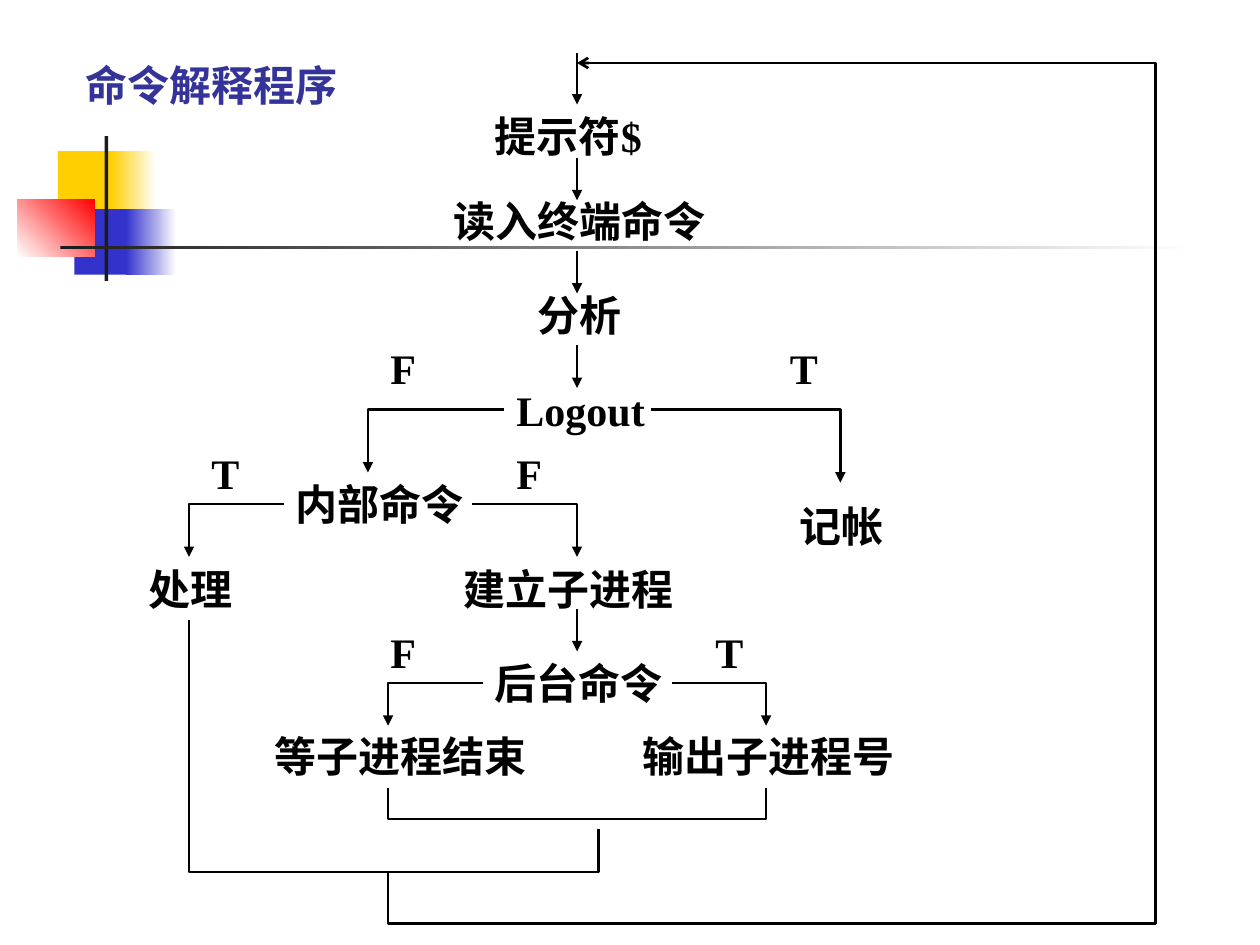
import pptx
import pptx.util
import pptx.dml.color
import pptx.enum.shapes
import pptx.enum.text
import pptx.oxml
import pptx.oxml.ns

Inches = pptx.util.Inches
Pt = pptx.util.Pt
COLORS = {
    name: pptx.dml.color.RGBColor.from_string(value)
    for name, value in {
        "yellow": "FFCF01", "blue": "3333CC", "red": "FF0000", "white": "FFFFFF",
        "dark": "1C1C1C", "title": "333399", "black": "000000",
    }.items()
}

deck = pptx.Presentation()
deck.slide_width, deck.slide_height = Inches(10), Inches(7.5)
page = deck.slides.add_slide(deck.slide_layouts[6])


def add_label(text, left, top, width, color="black"):
    box = page.shapes.add_textbox(Inches(left), Inches(top), Inches(width), Inches(0.5))
    box.text_frame.word_wrap = True
    box.text_frame.auto_size = pptx.enum.text.MSO_AUTO_SIZE.SHAPE_TO_FIT_TEXT
    span = box.text_frame.paragraphs[0].add_run()
    span.text = text
    span.font.name = "Times New Roman"
    span.font.size = Pt(24)
    span.font.bold = True
    span.font.color.rgb = COLORS[color]


def style_line(shape, head):
    """Draw the outline in black, with an arrowhead at its end if one is named."""
    shape.line.color.rgb = COLORS["black"]
    shape.line.width = Pt(1.5)
    if head:
        end = pptx.oxml.parse_xml(f'<a:tailEnd {pptx.oxml.ns.nsdecls("a")} type="{head}"/>')
        shape.line._get_or_add_ln().append(end)


# Corner decoration: left, top, width, height, start colour, end colour, angle
decorations = [
    (0.46, 1.2, 0.48, 0.52, "yellow", None, 0),
    (0.88, 1.2, 0.36, 0.52, "yellow", "white", 0),
    (0.59, 1.66, 0.46, 0.52, "blue", None, 0),
    (1, 1.66, 0.4, 0.52, "blue", "white", 0),
    (0.14, 1.58, 0.61, 0.46, "white", "red", 45),
    (0.83, 1.08, 0.03, 1.15, "dark", None, 0),
    (0.48, 1.95, 9, 0.03, "dark", "white", 0),
]
for left, top, width, height, start, finish, angle in decorations:
    block = page.shapes.add_shape(
        pptx.enum.shapes.MSO_SHAPE.RECTANGLE,
        Inches(left), Inches(top), Inches(width), Inches(height))
    block.shadow.inherit = False
    block.line.fill.background()
    if finish:
        block.fill.gradient()
        block.fill.gradient_angle = angle
        for stop, name in zip(block.fill.gradient_stops, (start, finish)):
            stop.color.rgb = COLORS[name]
    else:
        block.fill.solid()
        block.fill.fore_color.rgb = COLORS[start]

add_label("命令解释程序", 0.58, 0.42, 2.42, "title")

steps = [
    ("提示符$", 3.83, 0.83, 1.58),
    ("读入终端命令", 3.5, 1.5, 2.25),
    ("分析", 4.17, 2.25, 0.92),
    ("Logout", 4, 3, 1.25),
    ("内部命令", 2.25, 3.75, 1.67),
    ("处理", 1.08, 4.42, 0.92),
    ("建立子进程", 3.58, 4.42, 1.92),
    ("后台命令", 3.83, 5.17, 1.67),
    ("等子进程结束", 2.08, 5.75, 2.25),
    ("输出子进程号", 5, 5.75, 2.33),
    ("记帐", 6.25, 3.92, 0.92),
]
for text, left, top, width in steps:
    add_label(text, left, top, width)

branch_labels = [
    ("F", 3, 2.67), ("T", 6.17, 2.67),
    ("T", 1.58, 3.5), ("F", 4, 3.5),
    ("F", 3, 4.92), ("T", 5.58, 4.92),
]
for text, left, top in branch_labels:
    add_label(text, left, top, 0.42)

# Straight arrows down the main column
main_x = 4.58
for top, bottom in [(0.42, 0.83), (1.25, 1.59), (1.99, 2.33), (2.74, 3.08), (4.83, 5.17)]:
    arrow = page.shapes.add_connector(
        pptx.enum.shapes.MSO_CONNECTOR.STRAIGHT,
        Inches(main_x), Inches(top), Inches(main_x), Inches(bottom))
    style_line(arrow, "triangle")
    arrow._element.spPr.append(
        pptx.oxml.parse_xml(f'<a:effectLst {pptx.oxml.ns.nsdecls("a")}/>'))

# Branches leave a decision sideways, then drop: start x, start y, end x, end y
branches = [
    (4, 3.25, 2.92, 3.75), (5.17, 3.25, 6.67, 3.83),
    (2.25, 4, 1.5, 4.42), (3.75, 4, main_x, 4.42),
    (3.83, 5.42, 3.08, 5.76), (5.33, 5.42, 6.08, 5.76),
]
routes = [([(x1, y1), (x2, y1), (x2, y2)], "triangle") for x1, y1, x2, y2 in branches]
routes += [
    ([(3.08, 6.25), (3.08, 6.5), (6.08, 6.5), (6.08, 6.25)], None),
    ([(1.5, 4.92), (1.5, 6.92), (4.75, 6.92), (4.75, 6.58)], None),
    ([(3.08, 6.92), (3.08, 7.33), (9.17, 7.33), (9.17, 0.5), (main_x, 0.5)], "arrow"),
]
for points, head in routes:
    corners = [(Inches(x), Inches(y)) for x, y in points]
    builder = page.shapes.build_freeform(*corners[0])
    builder.add_line_segments(corners[1:], close=False)
    route = builder.convert_to_shape()
    route.shadow.inherit = False
    route.fill.background()
    style_line(route, head)

deck.save("out.pptx")
